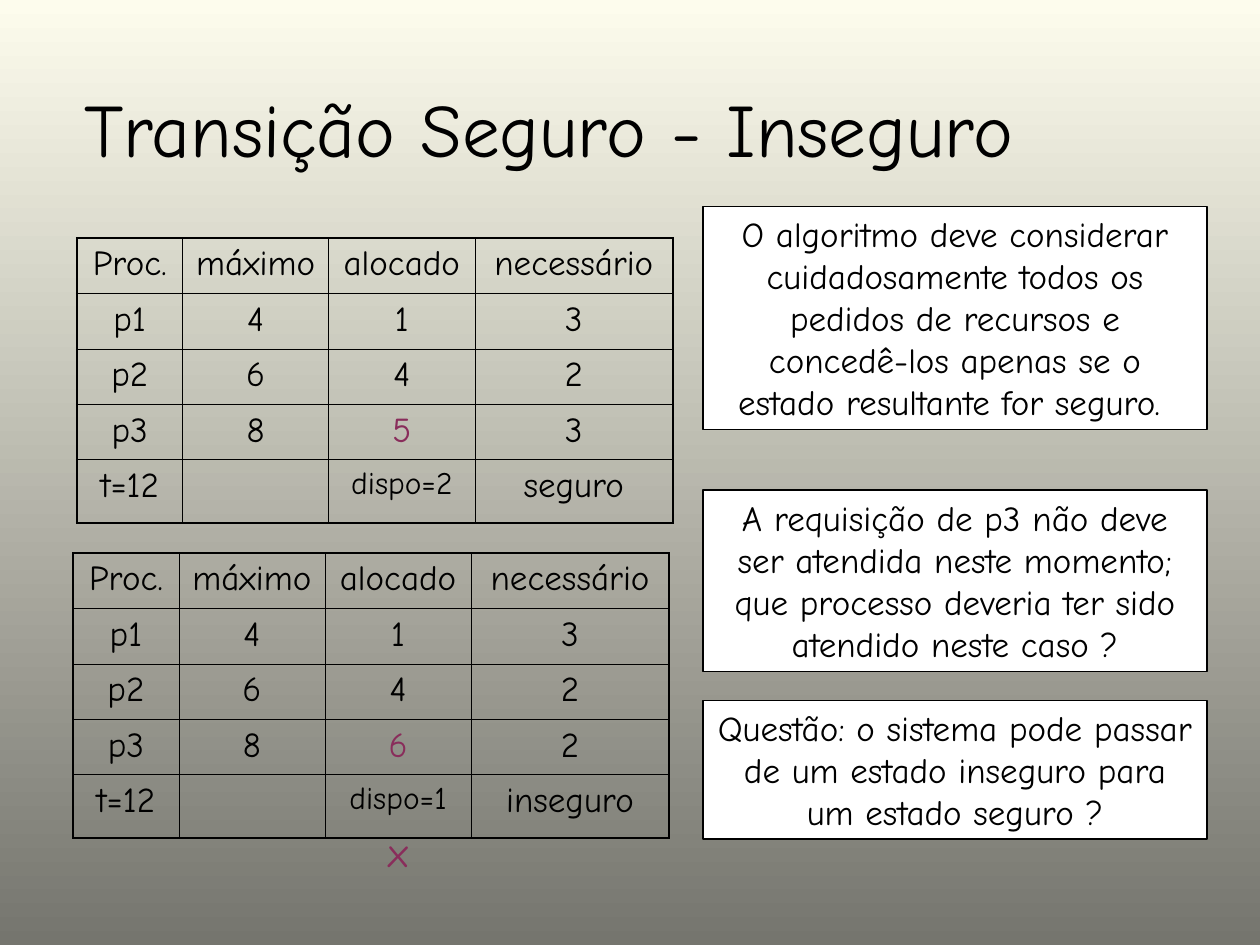
from lxml import etree
from pptx import Presentation
from pptx.dml.color import RGBColor
from pptx.enum.shapes import MSO_SHAPE
from pptx.enum.text import MSO_ANCHOR, PP_ALIGN
from pptx.oxml.ns import qn
from pptx.util import Inches, Pt

RECTANGLE = MSO_SHAPE.RECTANGLE
TOP, MIDDLE = MSO_ANCHOR.TOP, MSO_ANCHOR.MIDDLE
LEFT, CENTER = PP_ALIGN.LEFT, PP_ALIGN.CENTER

BLACK = RGBColor(0x00, 0x00, 0x00)
WHITE = RGBColor(0xFF, 0xFF, 0xFF)
PLUM = RGBColor(0x89, 0x2D, 0x5B)
CREAM = RGBColor(0xFD, 0xFC, 0xED)
OLIVE_GRAY = RGBColor(0x75, 0x75, 0x6E)
FONT = "Comic Neue"

TITLE = "Transição Seguro - Inseguro"
TITLE_AREA = (0.57, 0.6, 9.4, 0.82)

HEADER = ["Proc.", "máximo", "alocado", "necessário"]
SHARED_ROWS = [HEADER, ["p1", "4", "1", "3"], ["p2", "6", "4", "2"]]
# left, top, rows that differ between the two states
STATES = [
    (0.61, 1.89, [["p3", "8", "5", "3"], ["t=12", "", "dispo=2", "seguro"]]),
    (0.58, 4.39, [["p3", "8", "6", "2"], ["t=12", "", "dispo=1", "inseguro"]]),
]
COLUMN_WIDTHS = [0.84, 1.16, 1.16, 1.57]
ROW_HEIGHTS = [0.44] * 4 + [0.5]
REQUEST_CELL = (3, 2)
AVAILABLE_CELL = (4, 2)
OUTER_LINE, INNER_LINE = 1.08, 0.45

NOTE_LEFT, NOTE_WIDTH = 5.58, 4
# top, height, text
NOTES = [
    (1.64, 1.77, "O algoritmo deve considerar cuidadosamente todos os pedidos "
     "de recursos e concedê-los apenas se o estado resultante for seguro. "),
    (3.89, 1.44, "A requisição de p3 não deve ser atendida neste momento; "
     "que processo deveria ter sido atendido neste caso ?"),
    (5.56, 1.1, "Questão: o sistema pode passar de um estado inseguro para "
     "um estado seguro ?"),
]

REJECTION_MARK = "x"
REJECTION_AREA = (2.58, 6.5, 1.17, 0.5)

FRAME_FORMAT = {
    "word_wrap": True,
    "margin_left": Inches(0.1), "margin_right": Inches(0.1),
    "margin_top": Inches(0.05), "margin_bottom": Inches(0.05),
}


def set_attributes(target, values):
    for name, value in values.items():
        setattr(target, name, value)


def write(frame, text, size=20, color=BLACK, align=CENTER, anchor=TOP):
    set_attributes(frame, {**FRAME_FORMAT, "vertical_anchor": anchor})
    paragraph = frame.paragraphs[0]
    paragraph.alignment = align
    if text:
        run = paragraph.add_run()
        run.text = text
        set_attributes(run.font, {"name": FONT, "size": Pt(size)})
        run.font.color.rgb = color


def add_label(slide, area, text, **text_format):
    label = slide.shapes.add_textbox(*map(Inches, area))
    write(label.text_frame, text, **text_format)


def add_note(slide, top, height, text):
    area = (NOTE_LEFT, top, NOTE_WIDTH, height)
    note = slide.shapes.add_shape(RECTANGLE, *map(Inches, area))
    note.shadow.inherit = False
    note.fill.solid()
    note.fill.fore_color.rgb = WHITE
    note.line.color.rgb = BLACK
    note.line.width = Pt(0.75)
    write(note.text_frame, text)


def set_borders(cell, outer_sides):
    properties = cell._tc.get_or_add_tcPr()
    for side in "LRTB":
        width = OUTER_LINE if side in outer_sides else INNER_LINE
        line = etree.SubElement(properties, qn(f"a:ln{side}"), w=str(Pt(width)))
        fill = etree.SubElement(line, qn("a:solidFill"))
        etree.SubElement(fill, qn("a:srgbClr"), val=str(BLACK))


def add_state_table(slide, left, top, rows):
    last_row, last_column = len(rows) - 1, len(HEADER) - 1
    area = (left, top, sum(COLUMN_WIDTHS), sum(ROW_HEIGHTS))
    table = slide.shapes.add_table(
        len(rows), len(HEADER), *map(Inches, area)).table
    set_attributes(table, {"first_row": False, "horz_banding": False})
    for column, width in zip(table.columns, COLUMN_WIDTHS):
        column.width = Inches(width)
    for row, height in zip(table.rows, ROW_HEIGHTS):
        row.height = Inches(height)

    for r, values in enumerate(rows):
        for c, value in enumerate(values):
            cell = table.cell(r, c)
            edges = {"L": c == 0, "R": c == last_column,
                     "T": r == 0, "B": r == last_row}
            set_borders(cell, [side for side, outer in edges.items() if outer])
            cell.fill.background()
            write(cell.text_frame, value,
                  size=18 if (r, c) == AVAILABLE_CELL else 20,
                  color=PLUM if (r, c) == REQUEST_CELL else BLACK)


def main():
    presentation = Presentation()
    presentation.slide_width = Inches(10)
    presentation.slide_height = Inches(7.5)
    slide = presentation.slides.add_slide(presentation.slide_layouts[6])

    backdrop = slide.background.fill
    backdrop.gradient()
    backdrop.gradient_angle = 270
    for stop, color in zip(backdrop.gradient_stops, (CREAM, OLIVE_GRAY)):
        stop.color.rgb = color

    add_label(slide, TITLE_AREA, TITLE, size=43, align=LEFT, anchor=MIDDLE)
    for left, top, state_rows in STATES:
        add_state_table(slide, left, top, SHARED_ROWS + state_rows)
    for note in NOTES:
        add_note(slide, *note)
    add_label(slide, REJECTION_AREA, REJECTION_MARK, size=24, color=PLUM)

    presentation.save("out.pptx")


if __name__ == "__main__":
    main()
